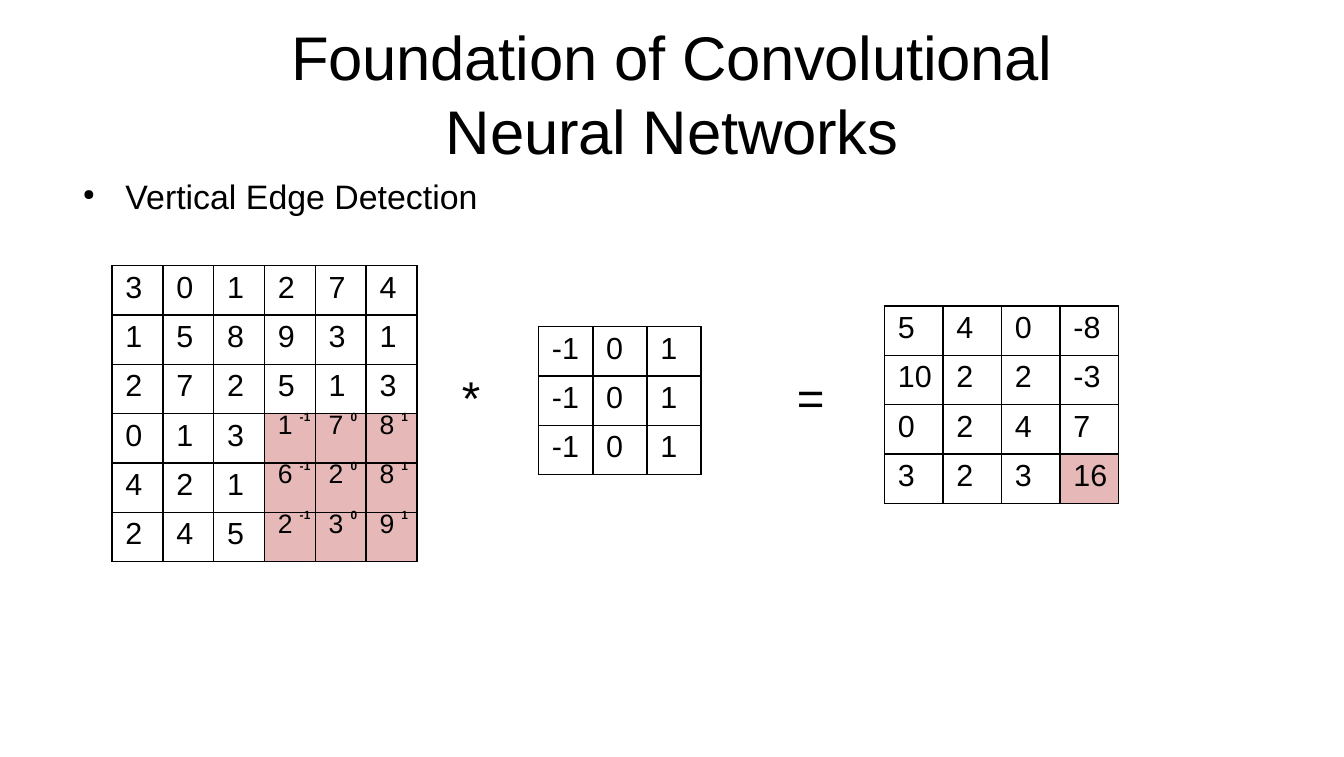
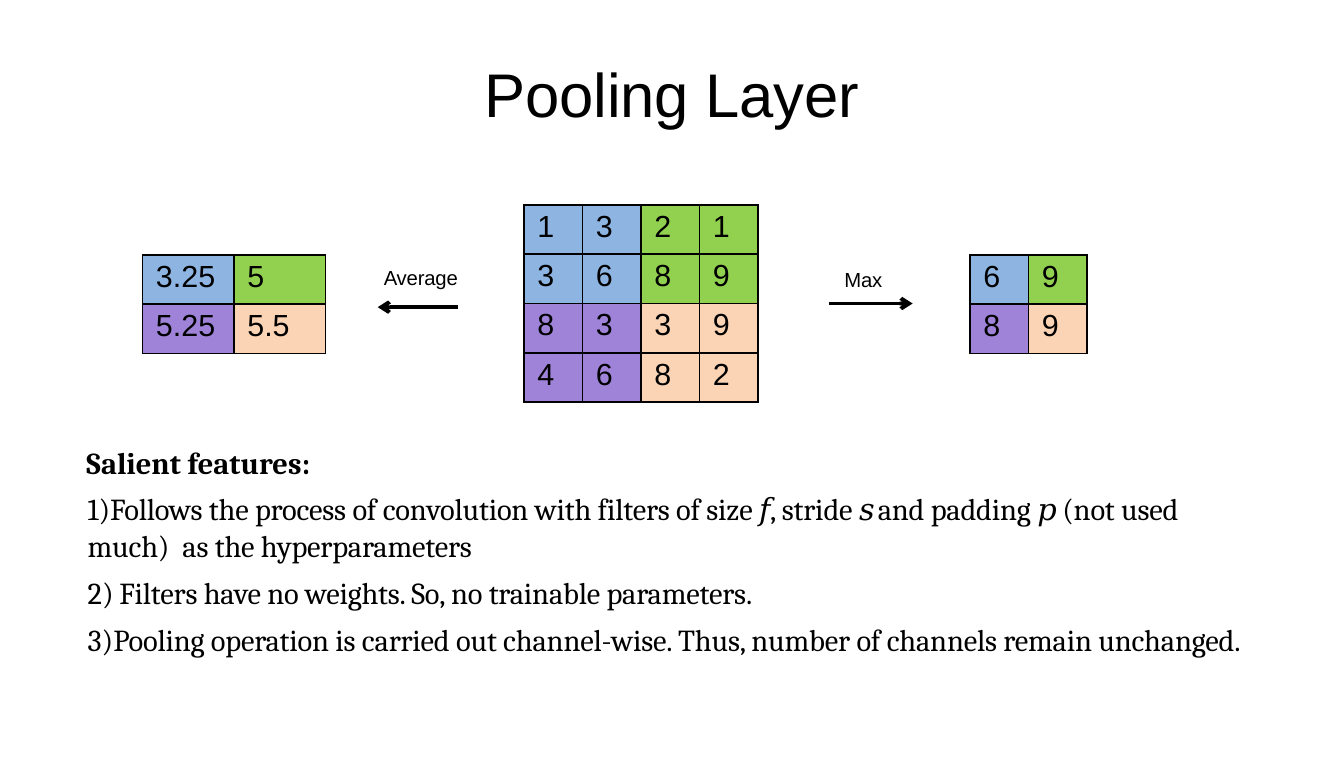
from lxml import etree
from pptx import Presentation
from pptx import util as u
from pptx.dml.color import RGBColor
from pptx.enum import shapes, text
from pptx.oxml import ns

WIDTH, HEIGHT = 11.03, 6.21
BLACK, PINK = "000000", "E6B8B8"
QUADRANTS = [["8EB4E2", "92D050"], ["9F83D9", "FBD4B5"]]
ROW_HEIGHT = 0.405
TITLE_WIDTH, TITLE_HEIGHT, TITLE_MIDDLE = 7.4, 1.2, 0.76

IMAGE = ["301274", "158931", "272513", "013178", "421628", "245239"]
FILTER = [["-1", "0", "1"]] * 3
RESULT = [["5", "4", "0", "-8"], ["10", "2", "2", "-3"],
          ["0", "2", "4", "7"], ["3", "2", "3", "16"]]
# text, left, top, width
OPERATORS = [("*", 3.79, 3.01, 0.18), ("=", 6.54, 3.01, 0.25)]

# values, left, top, column width
POOLING = [
    (["1321", "3689", "8339", "4682"], 4.3, 1.68, 0.48),
    (["69", "89"], 7.96, 2.09, 0.48),
    ([["3.25", "5"], ["5.25", "5.5"]], 1.17, 2.09, 0.75),
]
# label, label left, label top, label width, arrow start, arrow end, arrow height
ARROWS = [
    ("Average", 3.15, 2.17, 0.64, 3.76, 3.1, 2.52),
    ("Max", 6.93, 2.18, 0.34, 6.8, 7.49, 2.49),
]
# left margin, first-line indent, runs of (text, letter spacing)
FEATURES = [
    (0.01, 0, [("Follows the process of convolution with filters of size ", -0.1),
               ("𝑓, ", -0.2), ("stride ", -0.1), ("𝑠 ", -2.2), ("and padding ", -0.1),
               ("𝑝 ", -0.8), ("(not used much)  as the hyperparameters", -0.1)]),
    (0.27, -0.26, [("Filters have no weights. So, no trainable parameters.", -0.1)]),
    (0.01, 0, [("Pooling operation is carried out channel-wise. "
                "Thus, number of channels remain unchanged.", -0.1)]),
]


def color(value):
    return RGBColor.from_string(value)


def style(font, size, name="Arial", bold=False):
    font.size, font.name, font.bold = u.Pt(size), name, bold
    font.color.rgb = color(BLACK)


def add_run(paragraph, content, spacing=0):
    run = paragraph.add_run()
    run.text = content
    if spacing:
        run._r.get_or_add_rPr().set("spc", str(round(spacing * 100)))
    return run


def add_frame(slide, left, top, width, height, inset=0.01, wrap=True):
    box = slide.shapes.add_textbox(*map(u.Inches, (left, top, width, height)))
    frame = box.text_frame
    frame.word_wrap = wrap
    frame.margin_left = frame.margin_right = frame.margin_bottom = 0
    frame.margin_top = u.Inches(inset)
    return frame


def add_label(slide, content, left, top, width, height, size):
    paragraph = add_frame(slide, left, top, width, height, wrap=False).paragraphs[0]
    paragraph.space_before = u.Pt(1)
    style(paragraph.font, size)
    add_run(paragraph, content, -0.1)


def add_titled_slide(presentation, title):
    slide = presentation.slides.add_slide(presentation.slide_layouts[6])
    frame = add_frame(slide, (WIDTH - TITLE_WIDTH) / 2, TITLE_MIDDLE - TITLE_HEIGHT / 2,
                      TITLE_WIDTH, TITLE_HEIGHT)
    frame.vertical_anchor = text.MSO_ANCHOR.MIDDLE
    paragraph = frame.paragraphs[0]
    paragraph.alignment = text.PP_ALIGN.CENTER
    paragraph.space_before = u.Pt(0.9)
    style(paragraph.font, 36.4)
    add_run(paragraph, title, -0.1)
    return slide


def set_bullet(paragraph, margin, indent, tag, size=None, **attributes):
    properties = paragraph._p.get_or_add_pPr()
    properties.set("marL", str(u.Inches(margin)))
    properties.set("indent", str(u.Inches(indent)))
    marks = [(tag, attributes)]
    if size:
        marks.insert(0, ("a:buSzPct", {"val": str(size * 1000)}))
    # Bullets must come before the default run properties.
    default = properties.find(ns.qn("a:defRPr"))
    for name, values in marks:
        mark = etree.SubElement(properties, ns.qn(name), values)
        if default is not None:
            default.addprevious(mark)


def add_borders(cell):
    properties = cell._tc.get_or_add_tcPr()
    for side in ("lnL", "lnR", "lnT", "lnB"):
        line = etree.SubElement(properties, ns.qn("a:" + side), w=str(u.Pt(1)))
        fill = etree.SubElement(line, ns.qn("a:solidFill"))
        etree.SubElement(fill, ns.qn("a:srgbClr"), val=BLACK)


def add_matrix(slide, values, left, top, column_width, fill_at, weight_at=None):
    """fill_at(row, column) gives a colour or None; weight_at a small raised number or None."""
    rows, columns = len(values), len(values[0])
    table = slide.shapes.add_table(
        rows, columns, u.Inches(left), u.Inches(top),
        u.Inches(column_width * columns), u.Inches(ROW_HEIGHT * rows)).table
    table.first_row = table.horz_banding = False
    for row, line in enumerate(values):
        for column, value in enumerate(line):
            cell = table.cell(row, column)
            add_borders(cell)
            fill = fill_at(row, column)
            if fill:
                cell.fill.solid()
                cell.fill.fore_color.rgb = color(fill)
            else:
                cell.fill.background()
            weight = weight_at(row, column) if weight_at else None
            cell.margin_left = u.Inches(0.11)
            cell.margin_right = cell.margin_bottom = 0
            cell.margin_top = 0 if weight else u.Inches(0.04)
            paragraph = cell.text_frame.paragraphs[0]
            if weight:
                paragraph.line_spacing = u.Pt(15.5)
                number = add_run(paragraph, value + " ", -0.1)
                style(number.font, 27)
                number._r.get_or_add_rPr().set("baseline", "-29000")
                style(add_run(paragraph, weight, 0.1).font, 7, bold=True)
            else:
                paragraph.space_before = u.Pt(3.1)
                style(add_run(paragraph, value).font, 18)


def add_arrow(slide, start, end, height):
    connector = slide.shapes.add_connector(
        shapes.MSO_CONNECTOR.STRAIGHT, *map(u.Inches, (start, height, end, height)))
    connector.line.color.rgb = color(BLACK)
    connector.line.width = u.Pt(2.25)
    etree.SubElement(connector.line._get_or_add_ln(), ns.qn("a:tailEnd"), type="arrow")
    etree.SubElement(connector._element.spPr, ns.qn("a:effectLst"))


def build_convolution(presentation):
    slide = add_titled_slide(presentation, "Foundation of Convolutional Neural Networks")
    paragraph = add_frame(slide, 0.66, 1.43, 4, 0.36).paragraphs[0]
    paragraph.space_before = u.Pt(1.1)
    style(paragraph.font, 20)
    add_run(paragraph, "Vertical Edge Detection")
    set_bullet(paragraph, 0.37, -0.35, "a:buChar", size=45, char="●")
    for content, left, top, width in OPERATORS:
        add_label(slide, content, left, top, width, 0.49, 28)

    offset = len(IMAGE) - len(FILTER)
    last = len(RESULT) - 1

    def weight_at(row, column):
        if min(row, column) >= offset:
            return FILTER[row - offset][column - offset]

    add_matrix(slide, IMAGE, 0.92, 2.18, 0.417,
               lambda row, column: PINK if weight_at(row, column) else None, weight_at)
    add_matrix(slide, FILTER, 4.42, 2.68, 0.445, lambda row, column: None)
    add_matrix(slide, RESULT, 7.26, 2.51, 0.48,
               lambda row, column: PINK if row == column == last else None)


def build_pooling(presentation):
    slide = add_titled_slide(presentation, "Pooling Layer")
    for values, left, top, column_width in POOLING:
        half = len(values) // 2
        add_matrix(slide, values, left, top, column_width,
                   lambda row, column: QUADRANTS[row // half][column // half])
    for label, left, top, width, start, end, height in ARROWS:
        add_label(slide, label, left, top, width, 0.23, 12)
        add_arrow(slide, start, end, height)

    frame = add_frame(slide, 0.71, 3.52, 9.6, 2.19, inset=0.12)
    heading = frame.paragraphs[0]
    heading.space_before = u.Pt(8.8)
    style(heading.font, 18, "Cambria", bold=True)
    add_run(heading, "Salient features:")
    for margin, indent, runs in FEATURES:
        paragraph = frame.add_paragraph()
        paragraph.space_before = u.Pt(6)
        style(paragraph.font, 18, "Cambria")
        for content, spacing in runs:
            add_run(paragraph, content, spacing)
        set_bullet(paragraph, margin, indent, "a:buAutoNum", type="arabicParenR")


def main():
    presentation = Presentation()
    presentation.slide_width, presentation.slide_height = u.Inches(WIDTH), u.Inches(HEIGHT)
    build_convolution(presentation)
    build_pooling(presentation)
    presentation.save("out.pptx")


if __name__ == "__main__":
    main()
